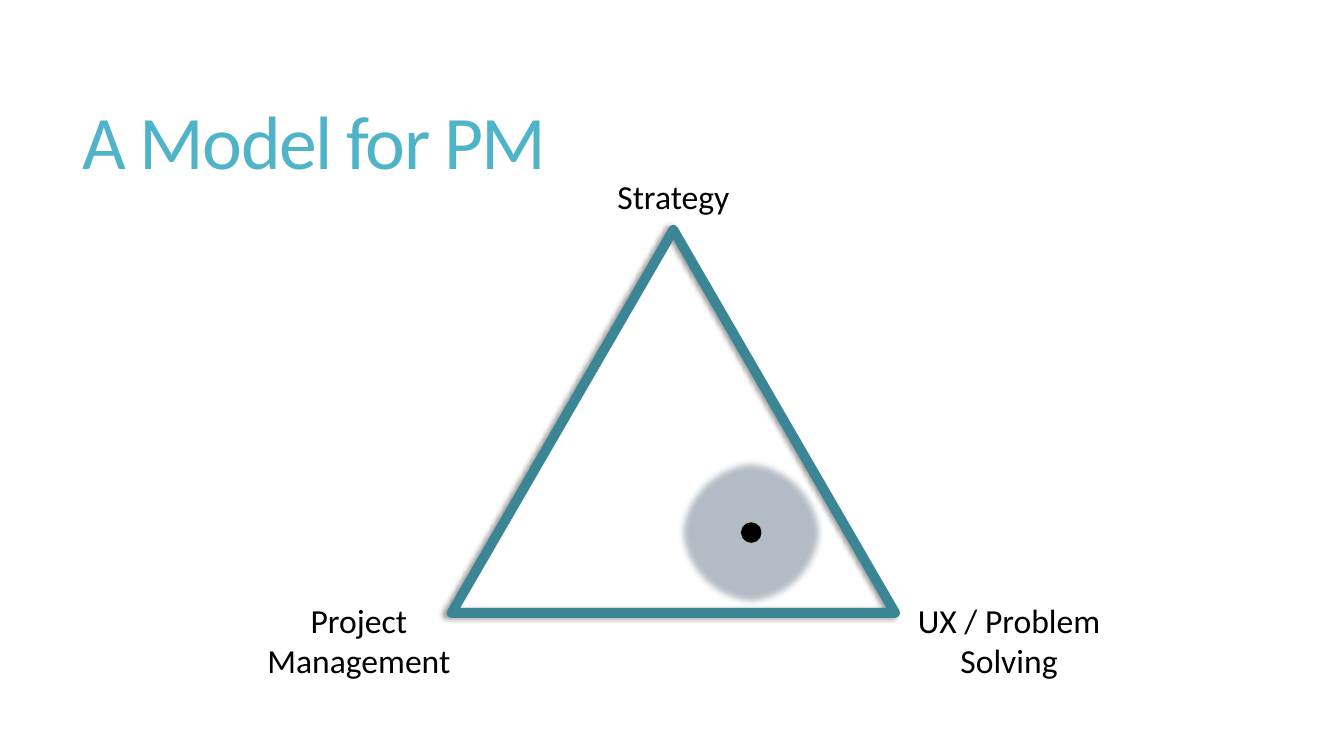
from dataclasses import dataclass

from lxml import etree
from pptx import Presentation
from pptx import util as u
from pptx.dml.color import RGBColor
from pptx.enum import shapes, text
from pptx.oxml import ns

KIND = shapes.MSO_SHAPE
ALIGN = text.PP_ALIGN


@dataclass(frozen=True)
class Theme:
    font: str = "Calibri"
    title: str = "50B4C8"
    edge: str = "3B8594"
    zone: str = "657689"
    ink: str = "000000"
    big: int = 54
    body: int = 24


def add(parent, tag, **attrs):
    """Append a drawing element with the given attributes."""
    return etree.SubElement(parent, ns.qn("a:" + tag),
                            {k: str(v) for k, v in attrs.items()})


class Board:
    """Holds the theme and the current slide; lengths are in points."""

    def __init__(self, slide, theme):
        self.slide = slide
        self.theme = theme

    def label(self, words, box, size=None, color=None, align=ALIGN.CENTER,
              anchor=text.MSO_ANCHOR.TOP, space=None, track=None):
        """Add a text box; track is letter spacing in points."""
        frame = self.slide.shapes.add_textbox(*map(u.Pt, box)).text_frame
        frame.word_wrap = True
        frame.vertical_anchor = anchor
        para = frame.paragraphs[0]
        para.alignment = align
        if space:
            para.line_spacing = space
        run = para.add_run()
        run.text = words
        run.font.name = self.theme.font
        run.font.size = u.Pt(size or self.theme.body)
        run.font.color.rgb = RGBColor.from_string(color or self.theme.ink)
        if track:
            run.font._element.set("spc", str(round(track * 100)))

    def shape(self, kind, box, fill=None, line=None, width=1):
        form = self.slide.shapes.add_shape(kind, *map(u.Pt, box))
        form.shadow.inherit = False
        if fill:
            form.fill.solid()
            form.fill.fore_color.rgb = RGBColor.from_string(fill)
        else:
            form.fill.background()
        if line:
            form.line.color.rgb = RGBColor.from_string(line)
            form.line.width = u.Pt(width)
        else:
            form.line.fill.background()
        return form

    def disc(self, center, size, **style):
        x, y = center
        return self.shape(KIND.OVAL, (x - size / 2, y - size / 2, size, size), **style)

    def haze(self, center, size, fill, alpha, soft):
        """Add a see-through disc with a soft rim; alpha is in percent."""
        props = self.disc(center, size, fill=fill)._element.spPr
        add(props.find(".//" + ns.qn("a:srgbClr")), "alpha", val=alpha * 1000)
        add(props.find(ns.qn("a:effectLst")), "softEdge", rad=u.Pt(soft))

    def frame(self, box, color, width):
        """Add an open triangle with round corners and a shadow to the left."""
        props = self.shape(KIND.ISOSCELES_TRIANGLE, box, line=color,
                           width=width)._element.spPr
        add(props.find(ns.qn("a:ln")), "round")
        shade = add(props.find(ns.qn("a:effectLst")), "outerShdw", blurRad=u.Pt(4),
                    dist=u.Pt(3), dir=180 * 60000, rotWithShape=0)
        add(add(shade, "srgbClr", val=self.theme.ink), "alpha", val=40000)


def main():
    deck = Presentation()
    deck.slide_width, deck.slide_height = u.Pt(960), u.Pt(540)
    theme = Theme()
    board = Board(deck.slides.add_slide(deck.slide_layouts[6]), theme)
    spot = (536.6, 380.4)

    board.haze(spot, 106.6, theme.zone, alpha=49, soft=5)
    board.label("A Model for PM", (51.8, 39.6, 848.2, 130.3), size=theme.big,
                color=theme.title, align=ALIGN.LEFT,
                anchor=text.MSO_ANCHOR.MIDDLE, space=0.85, track=-1.2)
    board.frame((322.6, 164.2, 316.8, 273.6), theme.edge, width=7)
    for words, box in (
        ("Strategy", (409.7, 122.4, 142.6, 36)),
        ("UX / Problem Solving", (639.4, 424.8, 162.7, 65.5)),
        ("Project Management", (175, 424.8, 162.7, 65.5)),
    ):
        board.label(words, box)
    board.disc(spot, 13.7, fill=theme.ink, line=theme.ink)
    deck.save("out.pptx")


if __name__ == "__main__":
    main()
